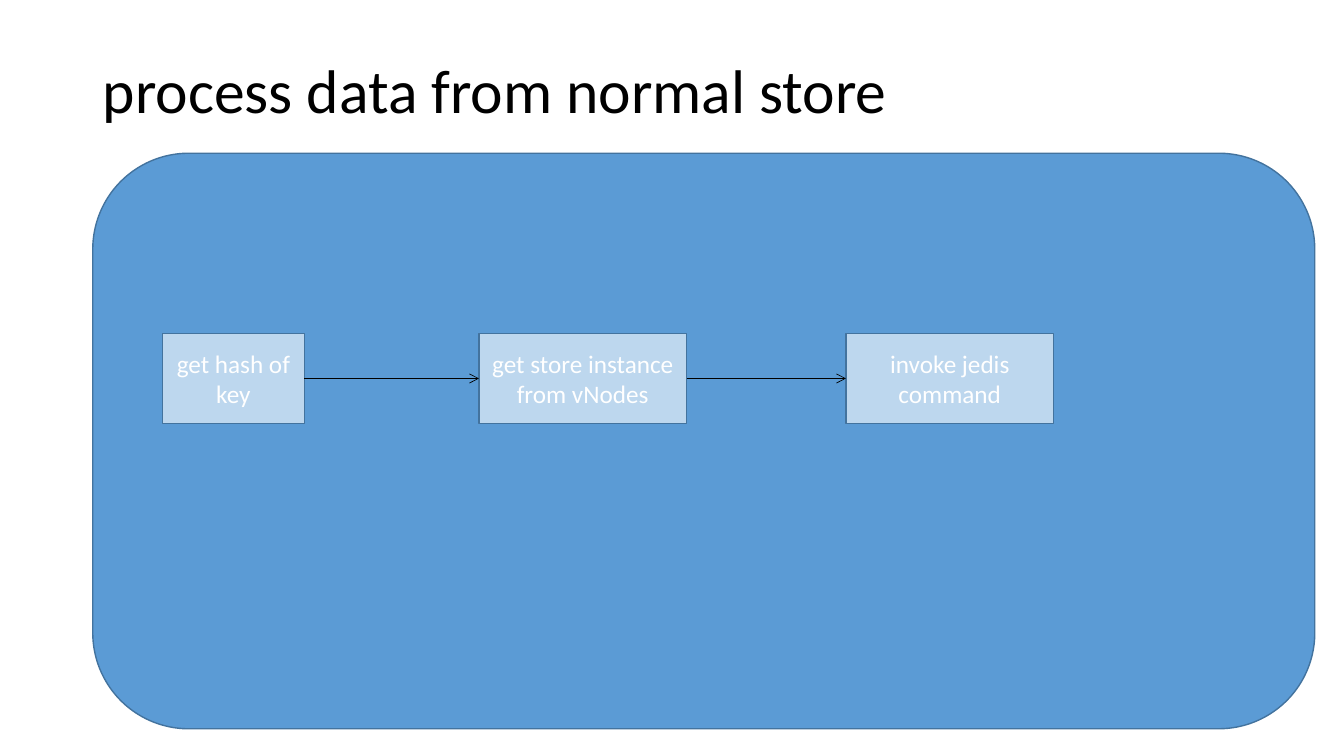
"""Build the slide that shows how data from a normal store is processed."""
from itertools import pairwise

from pptx import Presentation
from pptx import util as u
from pptx.dml.color import RGBColor
from pptx.enum import shapes, text
from pptx.oxml import ns

BLACK = RGBColor(0x00, 0x00, 0x00)
WHITE = RGBColor(0xFF, 0xFF, 0xFF)
BLUE = RGBColor(0x5B, 0x9B, 0xD5)
PALE_BLUE = RGBColor(0xBD, 0xD7, 0xEE)
DARK_BLUE = RGBColor(0x43, 0x73, 0x9E)


def write(frame, words, *, size, color, align, spacing=None, font="Calibri"):
    frame.word_wrap = True
    frame.auto_size = text.MSO_AUTO_SIZE.NONE
    frame.vertical_anchor = text.MSO_ANCHOR.MIDDLE
    paragraph = frame.paragraphs[0]
    paragraph.alignment = align
    paragraph.line_spacing = spacing
    run = paragraph.add_run()
    run.text = words
    run.font.name = font
    run.font.size = u.Pt(size)
    run.font.color.rgb = color


class FlowSlide:
    outline = DARK_BLUE
    outline_width = u.Pt(1)
    arrow_color = BLACK
    arrow_width = u.Pt(0.5)

    def __init__(self, deck):
        self.slide = deck.slides.add_slide(deck.slide_layouts[5])

    def title(self, words, left, top, width, height):
        heading = self.slide.shapes.title
        heading.left, heading.top = u.Inches(left), u.Inches(top)
        heading.width, heading.height = u.Inches(width), u.Inches(height)
        write(heading.text_frame, words, size=44, color=BLACK,
              align=text.PP_ALIGN.LEFT, spacing=0.9)

    def box(self, kind, fill, *bounds):
        box = self.slide.shapes.add_shape(kind, *map(u.Inches, bounds))
        box.shadow.inherit = False
        box.fill.solid()
        box.fill.fore_color.rgb = fill
        box.line.color.rgb = self.outline
        box.line.width = self.outline_width
        return box

    def step(self, words, *bounds):
        step = self.box(shapes.MSO_SHAPE.RECTANGLE, PALE_BLUE, *bounds)
        write(step.text_frame, words, size=18, color=WHITE,
              align=text.PP_ALIGN.CENTER)
        return step

    def arrow(self, source, target):
        arrow = self.slide.shapes.add_connector(
            shapes.MSO_CONNECTOR.STRAIGHT, 0, 0, 0, 0)
        arrow.begin_connect(source, 3)
        arrow.end_connect(target, 1)
        arrow.line.color.rgb = self.arrow_color
        arrow.line.width = self.arrow_width
        properties = arrow._element.spPr
        line = properties.find(ns.qn("a:ln"))
        line.append(line.makeelement(ns.qn("a:tailEnd"), {"type": "arrow"}))
        properties.append(properties.makeelement(ns.qn("a:effectLst"), {}))


STEP_TOP, STEP_HEIGHT = 3.31, 0.89
STEPS = [
    ("get hash of key", 1.61, 1.41),
    ("get store instance from vNodes", 4.75, 2.06),
    ("invoke jedis command", 8.39, 2.06),
]

deck = Presentation()
deck.slide_width, deck.slide_height = u.Inches(13.33), u.Inches(7.5)

flow = FlowSlide(deck)
flow.title("process data from normal store", 0.92, 0.4, 11.5, 1.06)
flow.box(shapes.MSO_SHAPE.ROUNDED_RECTANGLE, BLUE, 0.92, 1.52, 12.12, 5.71)
steps = [flow.step(words, left, STEP_TOP, width, STEP_HEIGHT)
         for words, left, width in STEPS]
for source, target in pairwise(steps):
    flow.arrow(source, target)

deck.save("out.pptx")
